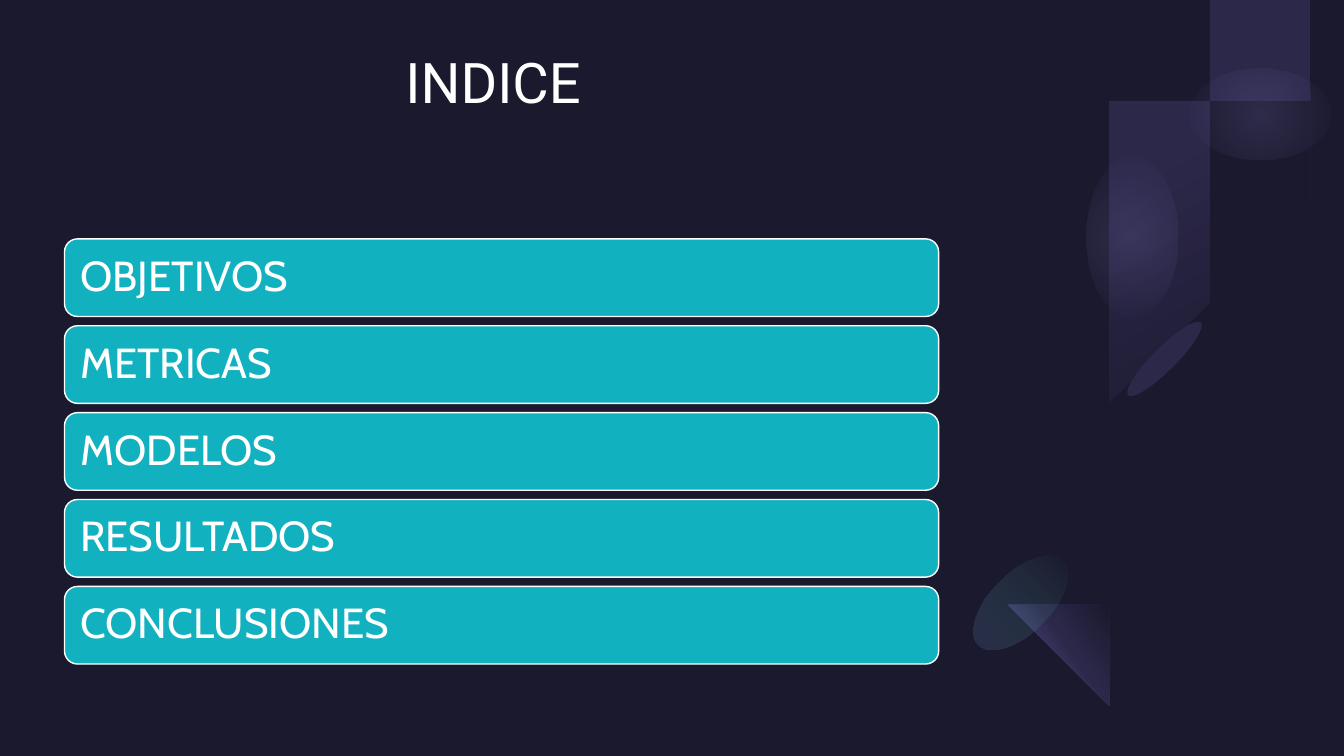
from math import acos, cos, degrees, radians, sin

from lxml import etree
from pptx import Presentation
from pptx.dml.color import RGBColor
from pptx.enum.shapes import MSO_SHAPE
from pptx.enum.text import MSO_ANCHOR, PP_ALIGN
from pptx.oxml.ns import qn
from pptx.util import Inches, Pt

OVAL, ROUNDED = MSO_SHAPE.OVAL, MSO_SHAPE.ROUNDED_RECTANGLE
LEFT, CENTER, MIDDLE = PP_ALIGN.LEFT, PP_ALIGN.CENTER, MSO_ANCHOR.MIDDLE
WIDTH, HEIGHT = 13.33, 7.5
COLORS = {"night": "1B192E", "plum": "2C284A", "violet": "3C3867", "indigo": "454075",
          "lilac": "7771B2", "mint": "5BEFC1", "teal": "12B1BF", "white": "FFFFFF"}


def color(name):
    return RGBColor.from_string(COLORS[name])


def set_gradient(shape, stops, angle=None):
    """Fill with (percent, color, opacity) stops; radial when no angle is given."""
    shape.shadow.inherit = False
    shape.line.fill.background()
    shape.fill.gradient()
    gradient = shape._element.spPr.find(qn("a:gradFill"))
    for child in list(gradient):
        gradient.remove(child)
    stop_list = etree.SubElement(gradient, qn("a:gsLst"))
    for percent, name, opacity in stops:
        stop = etree.SubElement(stop_list, qn("a:gs"), pos=str(percent * 1000))
        tint = etree.SubElement(stop, qn("a:srgbClr"), val=COLORS[name])
        etree.SubElement(tint, qn("a:alpha"), val=str(opacity * 1000))
    if angle is None:
        focus = etree.SubElement(gradient, qn("a:path"), path="circle")
        etree.SubElement(focus, qn("a:fillToRect"), l="50000", t="50000", r="50000", b="50000")
    else:
        etree.SubElement(gradient, qn("a:lin"), ang=str(angle * 60000), scaled="0")


presentation = Presentation()
presentation.slide_width, presentation.slide_height = Inches(WIDTH), Inches(HEIGHT)
slide = presentation.slides.add_slide(presentation.slide_layouts[6])
shapes = slide.shapes
slide.background.fill.solid()
slide.background.fill.fore_color.rgb = color("night")

# Open ring, cut off by the right edge of the slide
center_x, center_y, outer, inner = 12.62, 2.48, 2.02, 1.02
steps = 60
ring_points = []
for radius in (outer, inner):
    end = 360 - degrees(acos((WIDTH - center_x) / radius))
    angles = [radians(135 + (end - 135) * step / steps) for step in range(steps + 1)]
    arc = [(center_x + radius * cos(a), center_y + radius * sin(a)) for a in angles]
    ring_points += arc if radius == outer else arc[::-1]

# Cone side, from its tip round the rim
cone_points = [(10.9, 6.74), (9.77, 6.43), (9.71, 6.39), (9.68, 6.25), (9.92, 5.77),
               (10.3, 5.54), (10.48, 5.52), (10.55, 5.56), (10.58, 5.62)]

outlines = [
    (ring_points, [(35, "plum", 100), (100, "night", 100)], 60),
    (cone_points, [(30, "plum", 100), (40, "violet", 100), (60, "plum", 100),
                   (100, "night", 100)], 325),
]
for points, stops, angle in outlines:
    builder = shapes.build_freeform(*points[0], scale=Inches(1))
    builder.add_line_segments(points[1:])
    set_gradient(builder.convert_to_shape(), stops, angle)

# Ovals: two glows on the ring, the ring's cut end, the cone's base
glow = [(0, "lilac", 22), (100, "lilac", 0)]
ovals = [
    (12.5, 1.13, 1.4, 0.9, 0, glow, None),
    (11.23, 2.35, 0.9, 1.6, 0, glow, None),
    (11.55, 3.56, 0.23, 1.02, 225, [(0, "plum", 100), (100, "plum", 100)], 0),
    (10.12, 5.98, 0.59, 1.18, 225, [(0, "indigo", 33), (100, "mint", 0)], 90),
]
for middle_x, middle_y, width, height, rotation, stops, angle in ovals:
    oval = shapes.add_shape(OVAL, Inches(middle_x - width / 2), Inches(middle_y - height / 2),
                            Inches(width), Inches(height))
    oval.rotation = rotation
    set_gradient(oval, stops, angle)

# Title
title = shapes.add_textbox(Inches(0.6), Inches(0.55), Inches(8.58), Inches(1.59))
frame = title.text_frame
frame.word_wrap = True
frame.margin_left = frame.margin_right = frame.margin_top = frame.margin_bottom = 0
paragraph = frame.paragraphs[0]
paragraph.text = "INDICE"
paragraph.alignment = CENTER
paragraph.line_spacing = 0.9
paragraph.font.name, paragraph.font.size = "Roboto", Pt(40)
paragraph.font.color.rgb = color("white")

# Index bars
bar_left, bar_top, bar_width, bar_height, bar_pitch = 0.64, 2.37, 8.67, 0.77, 0.862
for row, entry in enumerate(["OBJETIVOS", "METRICAS", "MODELOS", "RESULTADOS", "CONCLUSIONES"]):
    bar = shapes.add_shape(ROUNDED, Inches(bar_left), Inches(bar_top + row * bar_pitch),
                           Inches(bar_width), Inches(bar_height))
    bar.shadow.inherit = False
    bar.fill.solid()
    bar.fill.fore_color.rgb = color("teal")
    bar.line.color.rgb = color("white")
    bar.line.width = Pt(1)
    frame = bar.text_frame
    frame.vertical_anchor = MIDDLE
    frame.margin_left = frame.margin_right = Inches(0.12)
    paragraph = frame.paragraphs[0]
    paragraph.text = entry
    paragraph.alignment = LEFT
    paragraph.line_spacing = 0.9
    paragraph.font.name, paragraph.font.size = "Cabin", Pt(30)
    paragraph.font.color.rgb = color("white")

presentation.save("out.pptx")
